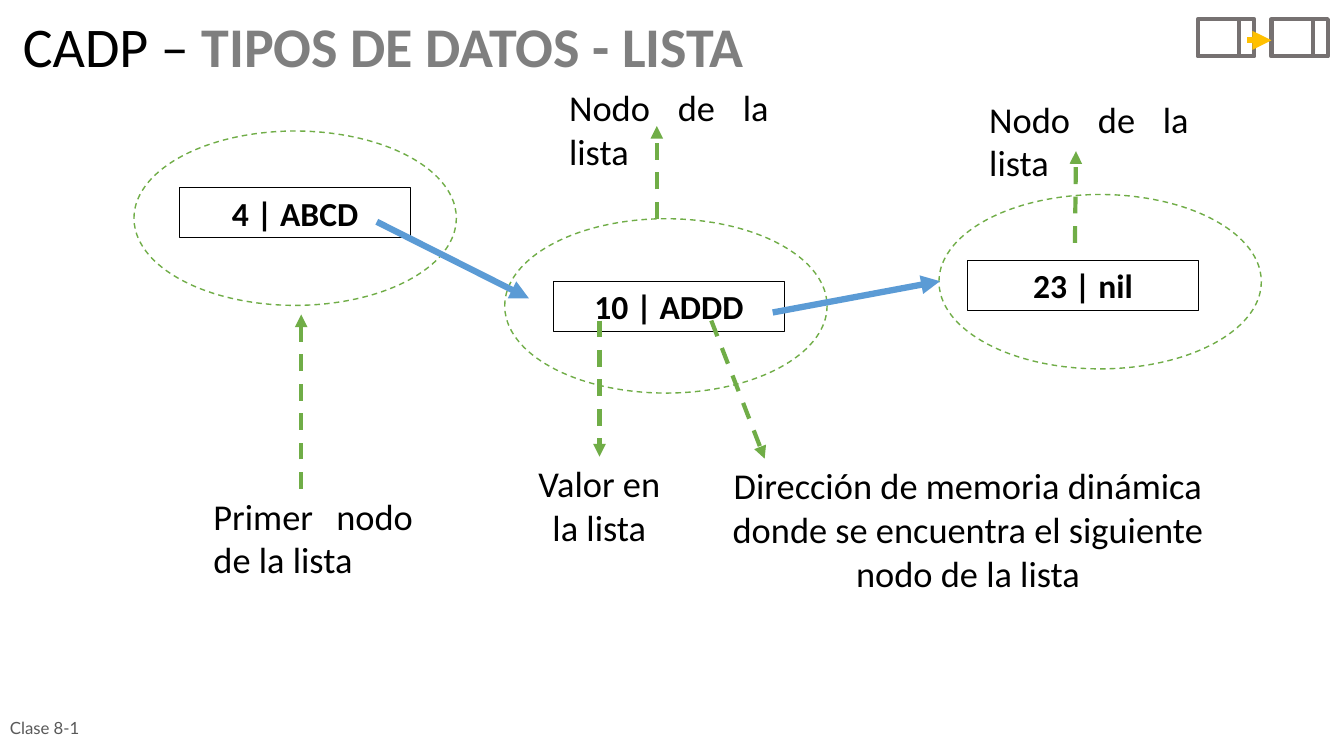
"""Builds a slide on the nodes of a linked list."""
from pptx import Presentation
from pptx.dml.color import RGBColor
from pptx.enum.dml import MSO_LINE
from pptx.enum.shapes import MSO_CONNECTOR, MSO_SHAPE
from pptx.enum.text import MSO_ANCHOR, PP_ALIGN
from pptx.oxml.ns import qn
from pptx.util import Pt
from lxml.etree import SubElement

SCALE = 9144
COLORS = {"black": "000000", "title": "7F7F7F", "icon": "767171", "gold": "FFC000",
          "blue": "5B9BD5", "green": "70AD47", "foot": "595959"}
LEFT, MID, JUST = PP_ALIGN.LEFT, PP_ALIGN.CENTER, PP_ALIGN.JUSTIFY

TITLE = [("CADP – ", {"size": Pt(40), "name": "Calibri"}, "black"),
         ("TIPOS DE DATOS - LISTA", {"size": Pt(40), "name": "Calibri", "bold": True}, "title")]
FOOT = [("Clase 8-1", {"size": Pt(12), "name": "Lato"}, "foot")]
NODE = {"size": Pt(24), "name": "Calibri", "bold": True}
NOTE = {"size": Pt(26), "name": "Calibri"}

NODES = [("4 | ABCD", (178, 186), (133, 130)),
         ("10 | ADDD", (549, 279), (501, 217)),
         ("23 | nil", (960, 258), (932, 193))]
NOTES = [("Primer nodo de la lista", (202, 485, 218, 97), JUST),
         ("Nodo de la lista", (555, 80, 218, 97), JUST),
         ("Nodo de la lista", (972, 91, 218, 97), JUST),
         ("Dirección de memoria dinámica donde se encuentra el siguiente nodo de la lista",
          (676, 455, 570, 140), MID)]
VALUE = ("Valor en la lista", (512, 453, 166, 97), MID)
LINKS = [(374, 220, 525, 296), (767, 310, 933, 279)]
HINTS = [(299, 485, 299, 312), (652, 217, 652, 125), (1067, 241, 1068, 150),
         (706, 318, 759, 455)]
ICONS = [1189, 1262]

deck = Presentation()
deck.slide_width, deck.slide_height = 1334 * SCALE, 750 * SCALE
slide = deck.slides.add_slide(deck.slide_layouts[6])
shapes = slide.shapes


def px(box):
    return [n * SCALE for n in box]


def tint(name):
    return RGBColor.from_string(COLORS[name])


def style(line, color, width, dash=None):
    line.color.rgb = tint(color)
    for key, val in {"width": Pt(width), "dash_style": dash}.items():
        setattr(line, key, val)


def write(shape, runs, align, anchor=MSO_ANCHOR.TOP, gap=None):
    frame = shape.text_frame
    frame.word_wrap, frame.vertical_anchor = True, anchor
    para = frame.paragraphs[0]
    para.alignment, para.line_spacing = align, gap
    for text, form, color in runs:
        run = para.add_run()
        run.text = text
        for key, val in form.items():
            setattr(run.font, key, val)
        run.font.color.rgb = tint(color)


def label(box, runs, align, **form):
    shape = shapes.add_textbox(*px(box))
    write(shape, runs, align, **form)
    return shape


def outline(kind, box, color, width, dash=None):
    shape = shapes.add_shape(kind, *px(box))
    shape.shadow.inherit = False
    shape.fill.background()
    style(shape.line, color, width, dash)
    return shape


def wire(ends, color, width, dash=None, head=True):
    link = shapes.add_connector(MSO_CONNECTOR.STRAIGHT, *px(ends))
    style(link.line, color, width, dash)
    props = link._element.spPr
    if head:
        SubElement(props.find(qn("a:ln")), qn("a:tailEnd"), type="triangle")
    SubElement(props, qn("a:effectLst"))
    return link


label((13, 14, 874, 76), TITLE, LEFT, gap=0.9)
for x in ICONS:
    outline(MSO_SHAPE.RECTANGLE, (x, 19, 56, 37), "icon", 3)
    wire((x + 41, 19, x + 41, 57), "icon", 3, head=False)
wire((1238, 40, 1262, 40), "gold", 4.5)

for text, spot, ring in NODES:
    cell = outline(MSO_SHAPE.RECTANGLE, (*spot, 230, 50), "black", 0.75)
    write(cell, [(text, NODE, "black")], MID)
    outline(MSO_SHAPE.OVAL, (*ring, 320, 173), "green", 1, MSO_LINE.DASH)
for ends in LINKS:
    wire(ends, "blue", 4.5)

for text, box, align in NOTES:
    label(box, [(text, NOTE, "black")], align)
for ends in HINTS:
    wire(ends, "green", 3, MSO_LINE.DASH)

text, box, align = VALUE
value = label(box, [(text, NOTE, "black")], align)
wire((595, 318, 595, 453), "green", 3, MSO_LINE.DASH).end_connect(value, 0)

label((0, 702, 233, 40), FOOT, LEFT, anchor=MSO_ANCHOR.MIDDLE)
deck.save("out.pptx")
